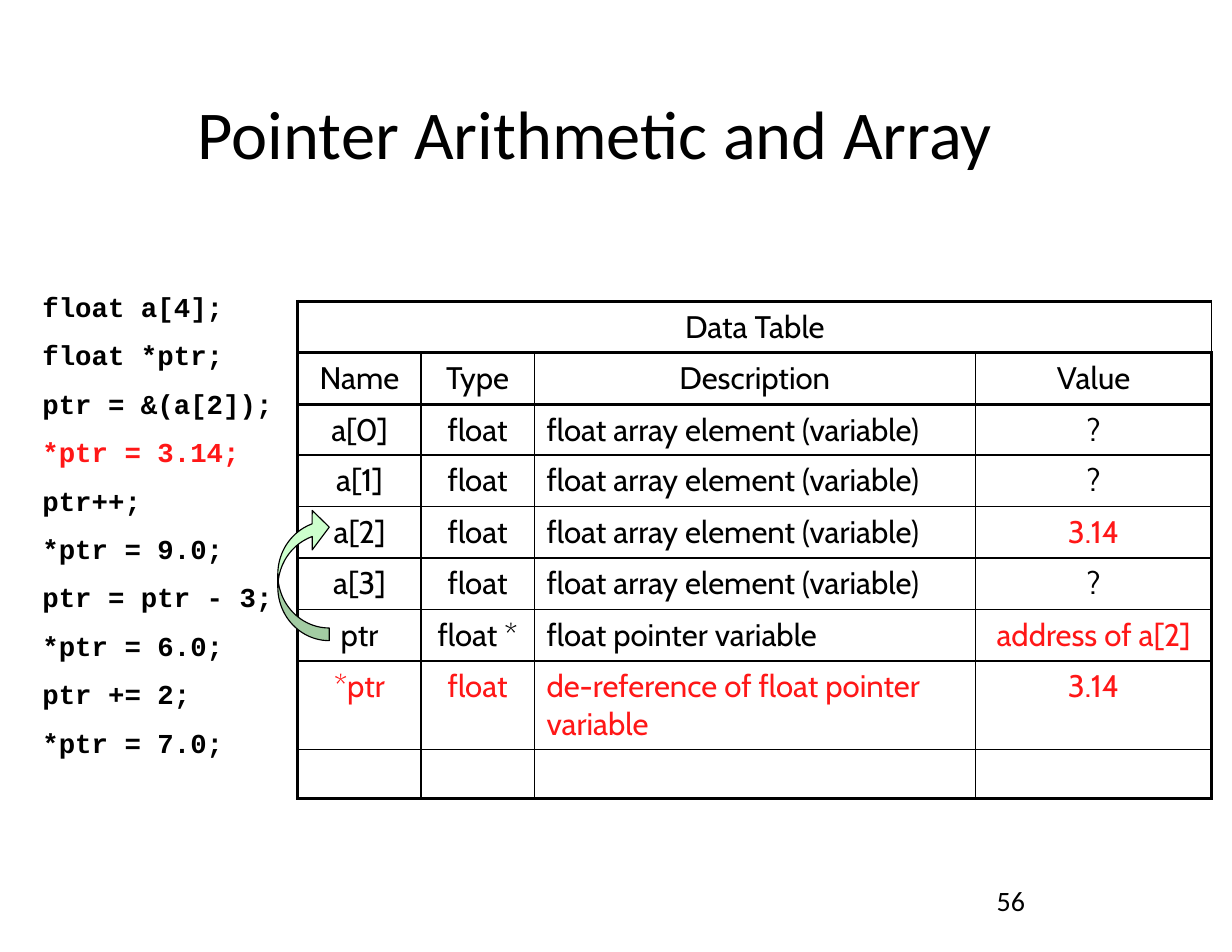
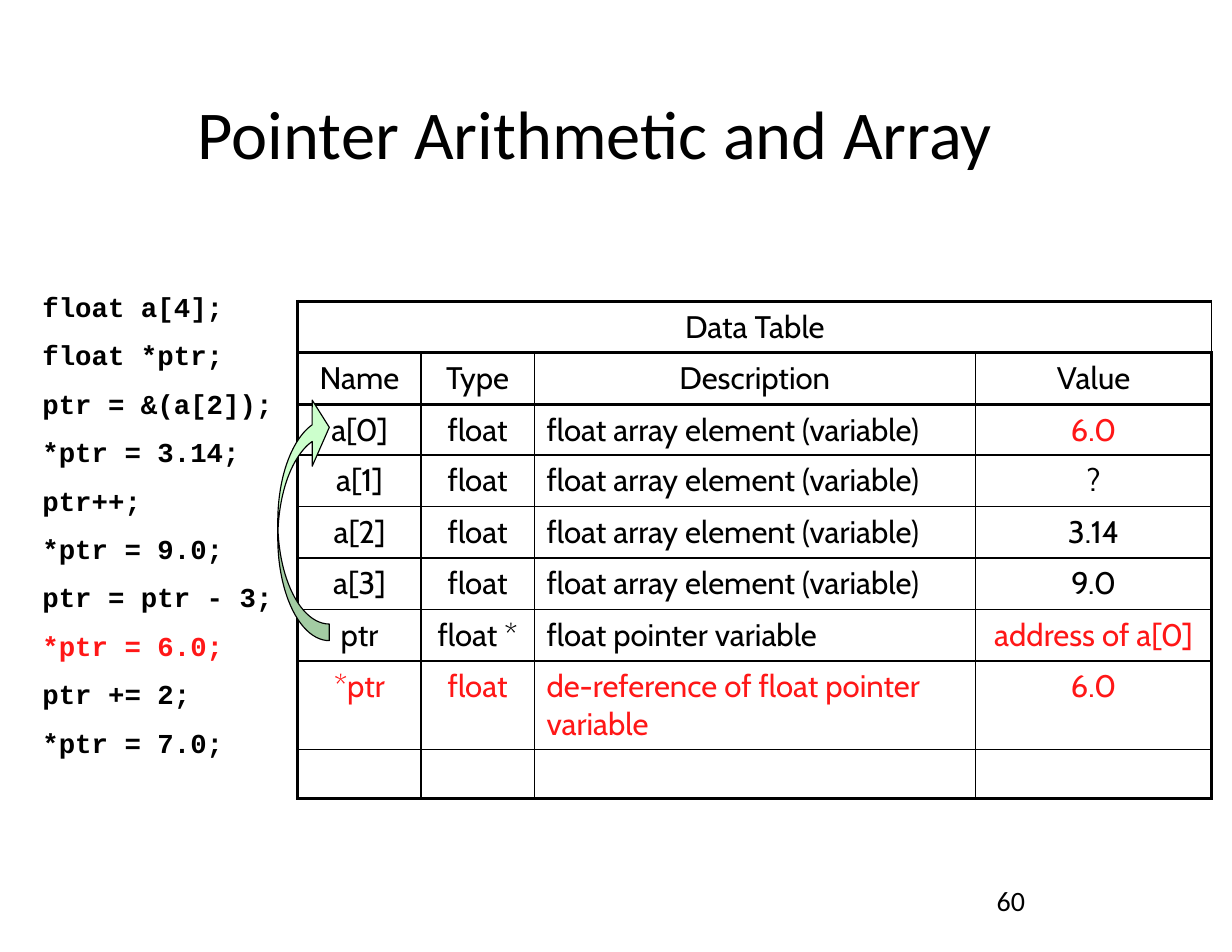
from dataclasses import dataclass

import pptx
import pptx.dml.color
import pptx.enum.shapes
import pptx.enum.text
import pptx.oxml
import pptx.oxml.ns
import pptx.presentation
import pptx.slide
import pptx.table
import pptx.text.text
import pptx.util
from pptx.dml.color import RGBColor
from pptx.util import Inches

# Shared colours, fonts and line widths
BLACK = RGBColor(0x00, 0x00, 0x00)
RED = RGBColor(0xFF, 0x17, 0x17)
LIGHT_GREEN = RGBColor(0xCC, 0xFF, 0xCC)
TEXT_FONT = "Calibri"
CODE_FONT = "Courier New"
TABLE_FONT = "Cabin"
THICK, THIN = 2.25, 1

# Shared content
TITLE = "Pointer Arithmetic and Array"
CODE_LINES = [
    "float a[4];",
    "float *ptr;",
    "ptr = &(a[2]);",
    "*ptr = 3.14;",
    "ptr++;",
    "*ptr = 9.0;",
    "ptr = ptr - 3;",
    "*ptr = 6.0;",
    "ptr += 2;",
    "*ptr = 7.0;",
]
HEADINGS = ["Name", "Type", "Description", "Value"]
COLUMN_WIDTHS = [1.1, 1.01, 3.94, 2.11]
ROW_HEIGHTS = [0.46, 0.46, 0.44, 0.46, 0.46, 0.46, 0.46, 0.77, 0.44]
FIRST_DATA_ROW = 2
DESCRIPTION_COLUMN = 2
ARRAY_SIZE = 4
ARROW_BOTTOM = 5.72


@dataclass
class Step:
    """State of the program after one line of code."""

    number: str
    current_line: int
    elements: list[str]
    target: int
    arrow_height: float
    arrow_adjustments: tuple[float, float, float]


STEPS = [
    Step("56", 3, ["?", "?", "3.14", "?"], 2, 1.19, (0.246, 0.766, 0.333)),
    Step("60", 7, ["6.0", "?", "3.14", "9.0"], 0, 2.2, (0.323, 1.283, 0.333)),
]


def format_paragraph(
    paragraph: pptx.text.text._Paragraph,
    font_name: str,
    size: float,
    color: RGBColor = BLACK,
    bold: bool = False,
    centered: bool = False,
) -> None:
    alignment = pptx.enum.text.PP_ALIGN
    paragraph.alignment = alignment.CENTER if centered else alignment.LEFT
    for run in paragraph.runs:
        run.font.name = font_name
        run.font.size = pptx.util.Pt(size)
        run.font.bold = bold
        run.font.color.rgb = color


def add_title(slide: pptx.slide.Slide) -> None:
    title = slide.shapes.title
    title.left, title.top = Inches(0.64), Inches(0.76)
    title.width, title.height = Inches(9.35), Inches(1.42)
    title.text_frame.text = TITLE
    title.text_frame.vertical_anchor = pptx.enum.text.MSO_ANCHOR.TOP
    format_paragraph(title.text_frame.paragraphs[0], TEXT_FONT, 44, centered=True)


def add_slide_number(slide: pptx.slide.Slide, number: str) -> None:
    box = slide.shapes.add_textbox(
        Inches(8.8), Inches(7.84), Inches(2.29), Inches(0.57))
    box.text_frame.word_wrap = True
    box.text_frame.text = number
    format_paragraph(box.text_frame.paragraphs[0], TEXT_FONT, 18)


def add_code(slide: pptx.slide.Slide, current_line: int) -> None:
    box = slide.shapes.add_textbox(
        Inches(0.28), Inches(2.51), Inches(10.27), Inches(4.4))
    text_frame = box.text_frame
    text_frame.word_wrap = True
    text_frame.margin_top = Inches(0.08)
    text_frame.text = "\n".join(CODE_LINES)
    for index, paragraph in enumerate(text_frame.paragraphs):
        if index:
            paragraph.space_before = pptx.util.Pt(10)
        color = RED if index == current_line else BLACK
        format_paragraph(paragraph, CODE_FONT, 17.6, color, bold=True)


def set_borders(cell: pptx.table._Cell, row: int, column: int) -> None:
    """Thick lines frame the table and its two heading rows."""
    last_row, last_column = len(ROW_HEIGHTS) - 1, len(COLUMN_WIDTHS) - 1
    thick_sides = {
        "L": column == 0,
        "R": column == last_column,
        "T": row <= FIRST_DATA_ROW,
        "B": row < FIRST_DATA_ROW or row == last_row,
    }
    properties = cell._tc.get_or_add_tcPr()
    namespace = pptx.oxml.ns.nsdecls("a")
    for side, is_thick in thick_sides.items():
        width = pptx.util.Pt(THICK if is_thick else THIN)
        properties.append(pptx.oxml.parse_xml(
            f'<a:ln{side} {namespace} w="{int(width)}"><a:solidFill>'
            f'<a:srgbClr val="{BLACK}"/></a:solidFill></a:ln{side}>'))


def data_rows(step: Step) -> list[list[str]]:
    elements = [
        [f"a[{index}]", "float", "float array element (variable)", value]
        for index, value in enumerate(step.elements)
    ]
    return elements + [
        ["ptr", "float *", "float pointer variable",
         f"address of a[{step.target}]"],
        ["*ptr", "float", "de-reference of float pointer variable",
         step.elements[step.target]],
    ]


def is_highlighted(step: Step, row: int, column: int) -> bool:
    data_row = row - FIRST_DATA_ROW
    if data_row == ARRAY_SIZE + 1:
        return True
    is_value = column == len(HEADINGS) - 1
    return is_value and data_row in (step.target, ARRAY_SIZE)


def add_data_table(slide: pptx.slide.Slide, step: Step) -> None:
    blank = [""] * len(HEADINGS)
    rows = [["Data Table"] + blank[1:], HEADINGS, *data_rows(step), blank]
    table = slide.shapes.add_table(
        len(rows), len(HEADINGS), Inches(2.66), Inches(2.69),
        Inches(sum(COLUMN_WIDTHS)), Inches(sum(ROW_HEIGHTS))).table
    table.first_row = table.horz_banding = False
    for column, width in zip(table.columns, COLUMN_WIDTHS):
        column.width = Inches(width)
    for row, height in zip(table.rows, ROW_HEIGHTS):
        row.height = Inches(height)
    table.cell(0, 0).merge(table.cell(0, len(HEADINGS) - 1))

    for row, texts in enumerate(rows):
        for column, text in enumerate(texts):
            cell = table.cell(row, column)
            set_borders(cell, row, column)
            cell.fill.background()
            cell.margin_left = cell.margin_right = Inches(0.11)
            cell.margin_top = cell.margin_bottom = Inches(0.06)
            if not text:
                continue
            cell.text_frame.text = text
            color = RED if is_highlighted(step, row, column) else BLACK
            centered = row < FIRST_DATA_ROW or column != DESCRIPTION_COLUMN
            format_paragraph(cell.text_frame.paragraphs[0], TABLE_FONT, 20,
                             color, centered=centered)


def add_pointer_arrow(slide: pptx.slide.Slide, step: Step) -> None:
    arrow = slide.shapes.add_shape(
        pptx.enum.shapes.MSO_SHAPE.CURVED_LEFT_ARROW,
        Inches(2.48), Inches(ARROW_BOTTOM - step.arrow_height),
        Inches(0.46), Inches(step.arrow_height))
    arrow.rotation = 180
    for index, value in enumerate(step.arrow_adjustments):
        arrow.adjustments[index] = value
    arrow.shadow.inherit = False
    arrow.fill.solid()
    arrow.fill.fore_color.rgb = LIGHT_GREEN
    arrow.line.color.rgb = BLACK
    arrow.line.width = pptx.util.Pt(0.75)


def add_step_slide(
    presentation: pptx.presentation.Presentation, step: Step
) -> None:
    title_only = presentation.slide_layouts[5]
    slide = presentation.slides.add_slide(title_only)
    add_title(slide)
    add_slide_number(slide, step.number)
    add_code(slide, step.current_line)
    add_data_table(slide, step)
    add_pointer_arrow(slide, step)


def main() -> None:
    presentation = pptx.Presentation()
    presentation.slide_width = Inches(11)
    presentation.slide_height = Inches(8.5)
    for step in STEPS:
        add_step_slide(presentation, step)
    presentation.save("out.pptx")


if __name__ == "__main__":
    main()
